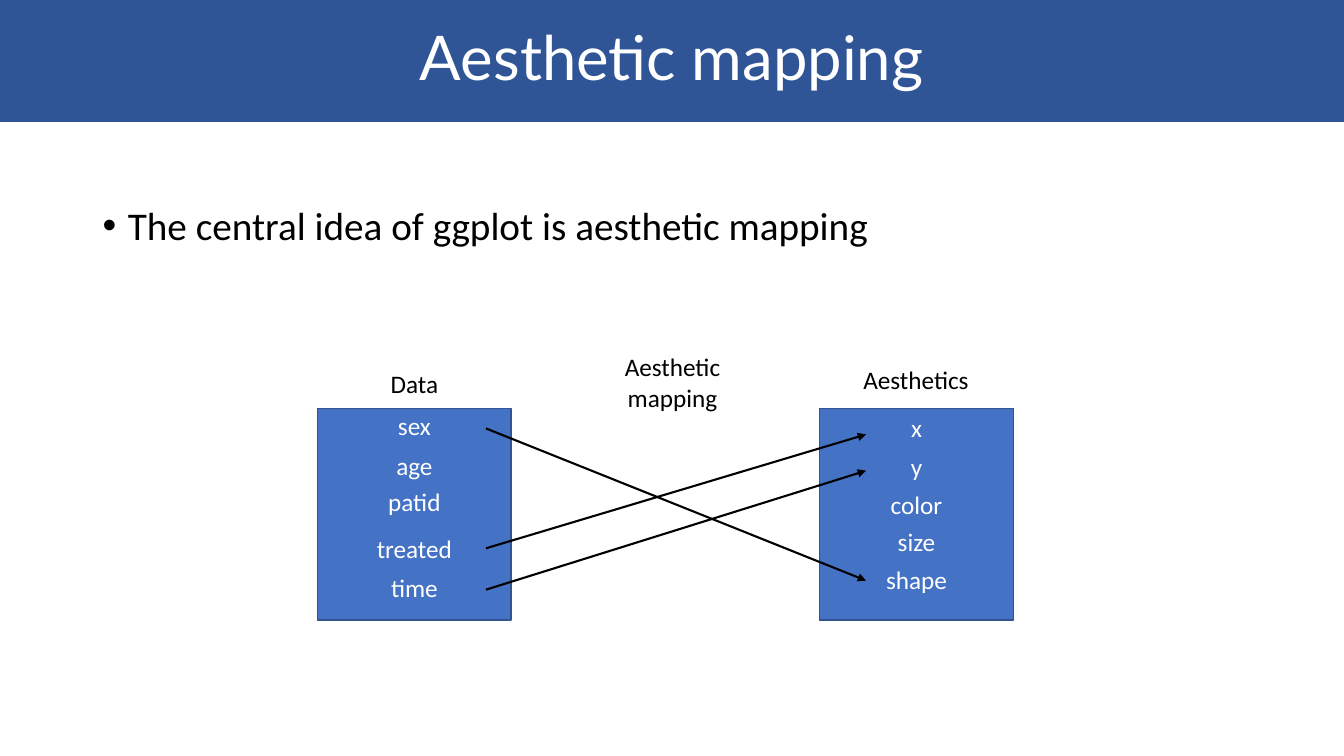
from dataclasses import dataclass

from lxml import etree
from pptx import Presentation
from pptx.dml.color import RGBColor
from pptx.enum.shapes import MSO_CONNECTOR, MSO_SHAPE
from pptx.enum.text import MSO_ANCHOR, PP_ALIGN
from pptx.oxml.ns import qn
from pptx.util import Inches, Pt

RECTANGLE = MSO_SHAPE.RECTANGLE
STRAIGHT = MSO_CONNECTOR.STRAIGHT
CENTER = PP_ALIGN.CENTER
LEFT = PP_ALIGN.LEFT
MIDDLE = MSO_ANCHOR.MIDDLE

COLORS = {
    "banner": "2F5597",
    "panel": "4472C4",
    "panel_edge": "325491",
    "white": "FFFFFF",
    "black": "000000",
}
PANEL_TOP, PANEL_WIDTH, PANEL_HEIGHT = 4.05, 1.92, 2.1
LABEL_HEIGHT = 0.4
ARROW_START, ARROW_END = 4.82, 8.59


@dataclass
class Label:
    text: str
    left: float
    top: float
    width: float = PANEL_WIDTH
    height: float = LABEL_HEIGHT
    color: str = "black"


@dataclass
class Panel:
    left: float
    heading: Label
    items: dict[str, float]  # item name and its top


@dataclass
class Arrow:
    start_y: float
    end_y: float


PANELS = [
    Panel(3.15, Label("Data", 3.15, 3.61),
          {"sex": 4.02, "age": 4.42, "patid": 4.78, "treated": 5.24, "time": 5.63}),
    Panel(8.13, Label("Aesthetics", 6.82, 3.57, 4.53),
          {"x": 4.04, "y": 4.43, "color": 4.81, "size": 5.17, "shape": 5.55}),
]
MAPPING_LABEL = Label("Aesthetic mapping", 5.71, 3.44, height=0.71)
ARROWS = [Arrow(5.44, 4.31), Arrow(5.85, 4.67), Arrow(4.25, 5.76)]


def rgb(name: str) -> RGBColor:
    return RGBColor.from_string(COLORS[name])


def write(shape, text: str, size: float, color: str, font: str = "Calibri",
          align=CENTER) -> None:
    frame = shape.text_frame
    frame.word_wrap = True
    para = frame.paragraphs[0]
    para.text = text
    para.alignment = align
    span = para.runs[0]
    span.font.name = font
    span.font.size = Pt(size)
    span.font.color.rgb = rgb(color)


def add_rectangle(page, left: float, top: float, width: float, height: float, fill: str):
    box = page.shapes.add_shape(
        RECTANGLE, Inches(left), Inches(top), Inches(width), Inches(height))
    box.shadow.inherit = False
    box.fill.solid()
    box.fill.fore_color.rgb = rgb(fill)
    box.line.fill.background()
    return box


def add_label(page, label: Label) -> None:
    box = page.shapes.add_textbox(
        Inches(label.left), Inches(label.top), Inches(label.width), Inches(label.height))
    write(box, label.text, 18, label.color)


def add_panel(page, panel: Panel) -> None:
    box = add_rectangle(page, panel.left, PANEL_TOP, PANEL_WIDTH, PANEL_HEIGHT, "panel")
    box.line.color.rgb = rgb("panel_edge")
    box.line.width = Pt(1)
    add_label(page, panel.heading)
    for name, top in panel.items.items():
        add_label(page, Label(name, panel.left, top, color="white"))


def add_arrow(page, arrow: Arrow) -> None:
    connector = page.shapes.add_connector(
        STRAIGHT, Inches(ARROW_START), Inches(arrow.start_y),
        Inches(ARROW_END), Inches(arrow.end_y))
    connector.line.color.rgb = rgb("black")
    connector.line.width = Pt(1.5)
    etree.SubElement(connector.line._get_or_add_ln(), qn("a:tailEnd"), type="triangle")
    etree.SubElement(connector._element.spPr, qn("a:effectLst"))


def add_title(page) -> None:
    banner = add_rectangle(page, 0, 0, 13.33, 1.21, "banner")
    write(banner, "Aesthetic mapping", 44, "white", "Lato")
    banner.text_frame.vertical_anchor = MIDDLE
    banner.text_frame.paragraphs[0].line_spacing = 0.9


def add_bullet_text(page) -> None:
    box = page.shapes.add_textbox(Inches(0.92), Inches(2), Inches(11.5), Inches(4.76))
    write(box, "The central idea of ggplot is aesthetic mapping", 28, "black", align=LEFT)
    para = box.text_frame.paragraphs[0]
    para.line_spacing = 0.9
    properties = para._p.get_or_add_pPr()
    properties.set("marL", str(Inches(0.25)))
    properties.set("indent", str(Inches(-0.25)))
    etree.SubElement(properties, qn("a:buFont"), typeface="Arial")
    etree.SubElement(properties, qn("a:buChar"), char="•")


def main() -> None:
    deck = Presentation()
    deck.slide_width, deck.slide_height = Inches(13.33), Inches(7.5)
    page = deck.slides.add_slide(deck.slide_layouts[6])

    # Title banner and statement
    add_title(page)
    add_bullet_text(page)

    # Data and aesthetics panels
    for panel in PANELS:
        add_panel(page, panel)

    # Mapping between the panels
    add_label(page, MAPPING_LABEL)
    for arrow in ARROWS:
        add_arrow(page, arrow)

    deck.save("out.pptx")


if __name__ == "__main__":
    main()
